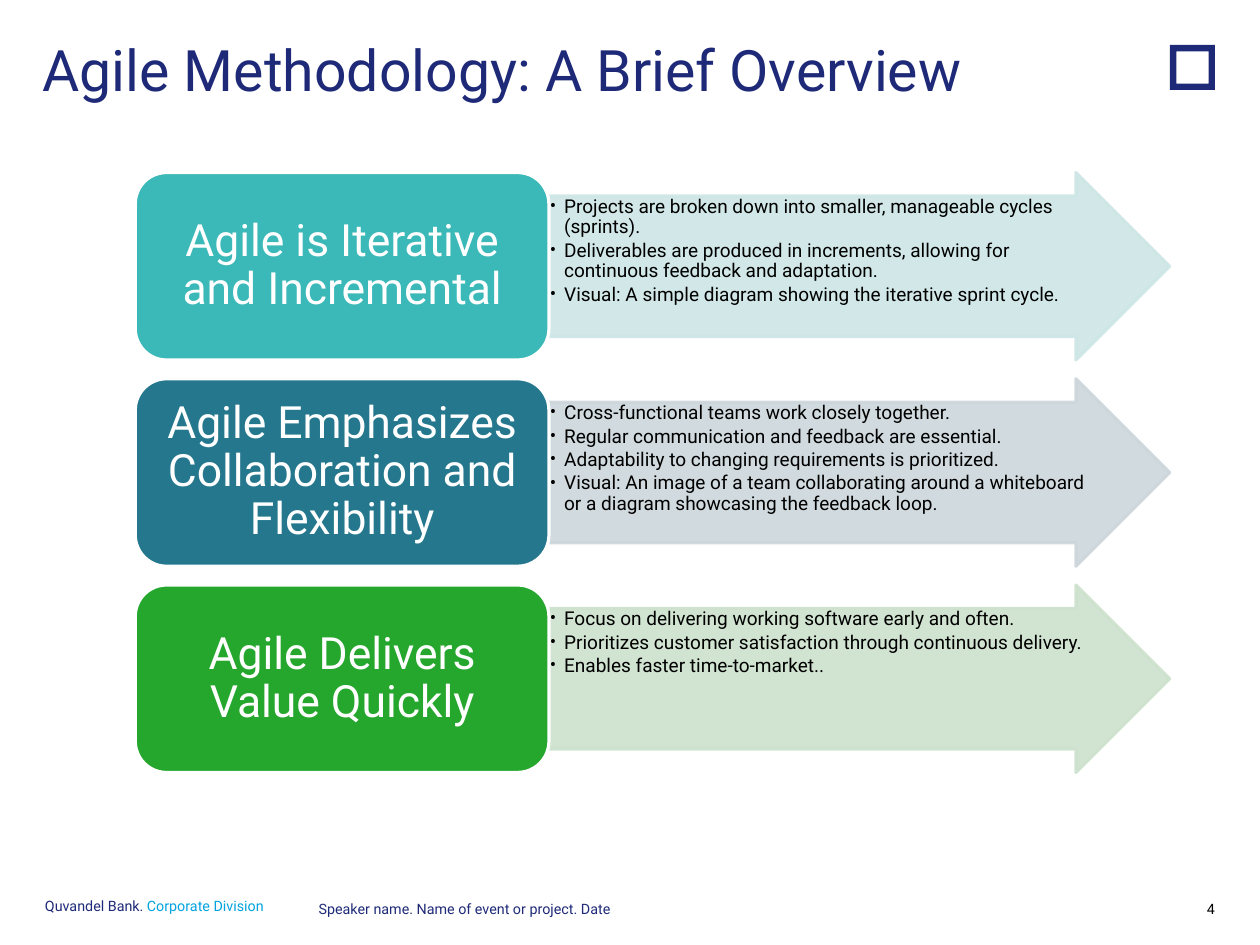
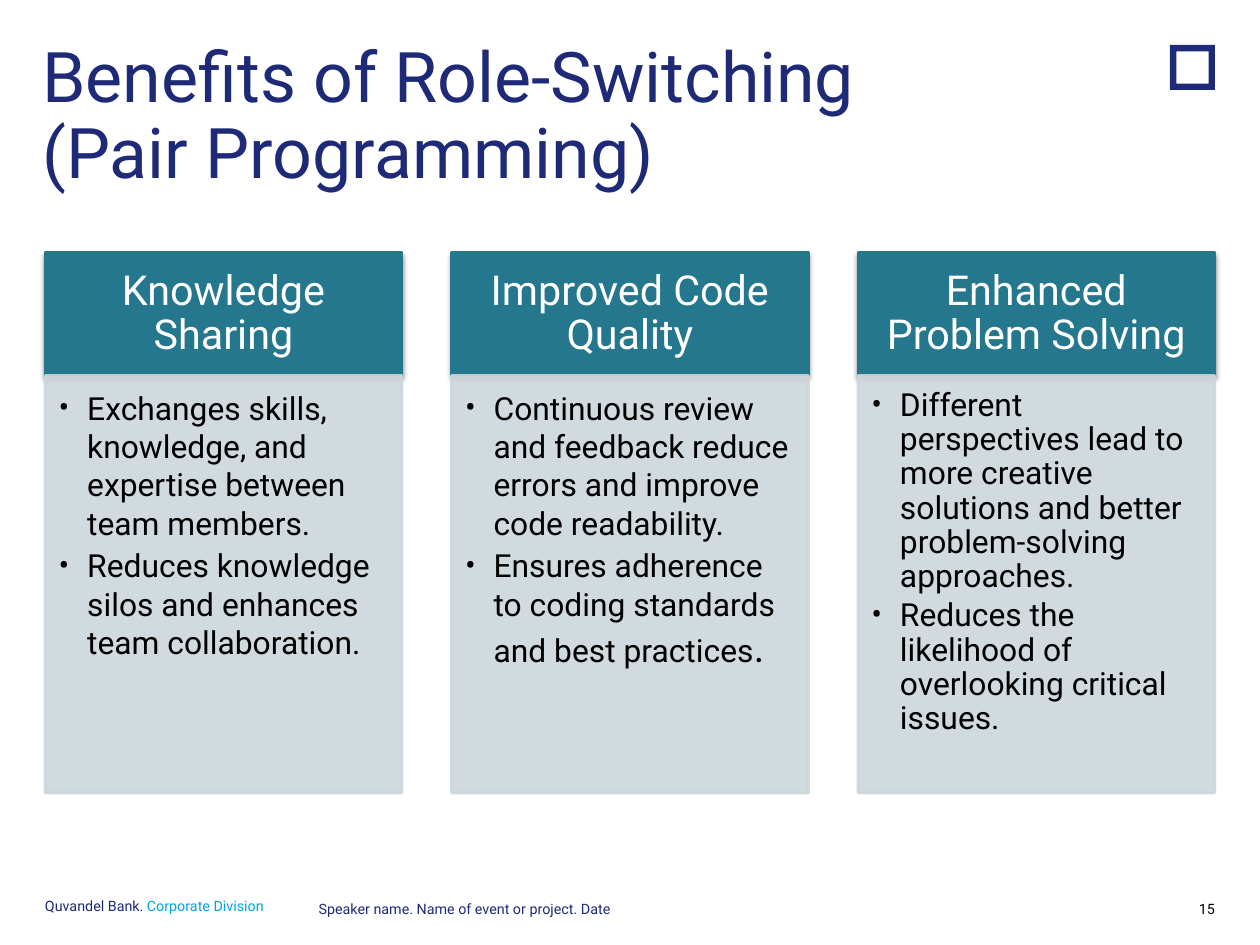
import pptx
import pptx.util
import pptx.dml.color
import pptx.enum.shapes
import pptx.enum.text
import pptx.oxml.ns
from lxml import etree

Pt = pptx.util.Pt
SHAPE = pptx.enum.shapes.MSO_SHAPE
ALIGN = pptx.enum.text.PP_ALIGN
ANCHOR = pptx.enum.text.MSO_ANCHOR
qn = pptx.oxml.ns.qn

# Shared look
FONT = "Roboto"
NAVY, SKY, BLACK, WHITE = "1E2A78", "00A3E0", "000000", "FFFFFF"
TEAL, MIST = "24778D", "CDD6DB"
SLIDE_W, SLIDE_H = 793.7, 595.28
MARGIN = 28.35
OUTLINE = 2
OWNER_TOP, FOOTER_TOP, FOOTER_H, FOOTER_SIZE = 567, 569, 14.2, 9
BADGE = 28.35

# Content
OWNER = [("Quvandel Bank. ", FOOTER_SIZE, NAVY), ("Corporate Division", FOOTER_SIZE, SKY)]
EVENT = "Speaker name. Name of event or project. Date"

OVERVIEW = {
    "title": ["Agile Methodology: A Brief Overview"], "title_size": 36, "page": 4,
    "principles": [
        ("Agile is Iterative and Incremental", "3BB8B8", "CEE6E6", [
            "Projects are broken down into smaller, manageable cycles (sprints).",
            "Deliverables are produced in increments, allowing for continuous feedback and adaptation.",
            "Visual: A simple diagram showing the iterative sprint cycle."]),
        ("Agile Emphasizes Collaboration and Flexibility", TEAL, MIST, [
            "Cross-functional teams work closely together.",
            "Regular communication and feedback are essential.",
            "Adaptability to changing requirements is prioritized.",
            "Visual: An image of a team collaborating around a whiteboard "
            "or a diagram showcasing the feedback loop."]),
        ("Agile Delivers Value Quickly", "25A62D", "CDE1CD", [
            "Focus on delivering working software early and often.",
            "Prioritizes customer satisfaction through continuous delivery.",
            "Enables faster time-to-market.."]),
    ],
}

# Each benefit: heading, line spacing, points; a point is a list of (text, size)
BENEFITS = {
    "title": ["Benefits of Role-Switching", "(Pair Programming)"], "title_size": 44, "page": 15,
    "benefits": [
        ("Knowledge Sharing", 1.0, [
            [("Exchanges skills, knowledge, and expertise between team members.", 20)],
            [("Reduces knowledge silos and enhances team collaboration.", 20)]]),
        ("Improved Code Quality", 1.0, [
            [("Continuous review and feedback reduce errors and improve code readability.", 20)],
            [("Ensures adherence to coding standards and best practices", 20), (".", 25)]]),
        ("Enhanced Problem Solving", 0.9, [
            [("Different perspectives lead to more creative solutions "
              "and better problem-solving approaches.", 20)],
            [("Reduces the likelihood of overlooking critical issues.", 20)]]),
    ],
}


def color(hex_value):
    return pptx.dml.color.RGBColor.from_string(hex_value)


def add_run(paragraph, text, size, hex_value):
    run = paragraph.add_run()
    run.text = text
    run.font.name = FONT
    run.font.size = Pt(size)
    run.font.color.rgb = color(hex_value)


def prepare_frame(shape, insets=(0, 0, 0, 0), anchor=ANCHOR.TOP):
    frame = shape.text_frame
    frame.word_wrap = True
    frame.vertical_anchor = anchor
    frame.margin_left, frame.margin_top, frame.margin_right, frame.margin_bottom = map(Pt, insets)
    return frame


def add_line_of_text(slide, box, runs, align=ALIGN.LEFT):
    frame = prepare_frame(slide.shapes.add_textbox(*map(Pt, box)))
    paragraph = frame.paragraphs[0]
    paragraph.alignment = align
    paragraph.line_spacing = Pt(FOOTER_SIZE)
    for run in runs:
        add_run(paragraph, *run)


def add_block(slide, kind, box, fill, line=None, opacity=None):
    block = slide.shapes.add_shape(kind, *map(Pt, box))
    block.shadow.inherit = False
    block.fill.solid()
    block.fill.fore_color.rgb = color(fill)
    if line:
        block.line.color.rgb = color(line)
        block.line.width = Pt(OUTLINE)
    else:
        block.line.fill.background()
    if opacity:
        for tint in list(block._element.spPr.iter(qn("a:srgbClr"))):
            etree.SubElement(tint, qn("a:alpha"), val=str(opacity * 1000))
    return block


def add_drop_shadow(block):
    effects = block._element.spPr.find(qn("a:effectLst"))
    shadow = etree.SubElement(effects, qn("a:outerShdw"), blurRad=str(Pt(3.1)),
                              dist=str(Pt(1.6)), dir="5400000", rotWithShape="0")
    tint = etree.SubElement(shadow, qn("a:srgbClr"), val=BLACK)
    etree.SubElement(tint, qn("a:alpha"), val="38000")


def write_heading(block, text, size, insets):
    paragraph = prepare_frame(block, insets, ANCHOR.MIDDLE).paragraphs[0]
    paragraph.alignment = ALIGN.CENTER
    paragraph.line_spacing = 0.9
    add_run(paragraph, text, size, WHITE)


def write_bullets(block, points, insets, indent, line_spacing, gap):
    frame = prepare_frame(block, insets)
    for i, point in enumerate(points):
        paragraph = frame.add_paragraph() if i else frame.paragraphs[0]
        properties = paragraph._p.get_or_add_pPr()
        properties.set("marL", str(Pt(indent)))
        properties.set("indent", str(-Pt(indent)))
        etree.SubElement(properties, qn("a:buFont"), typeface=FONT)
        etree.SubElement(properties, qn("a:buChar"), char="•")
        paragraph.alignment = ALIGN.LEFT
        paragraph.line_spacing = line_spacing
        paragraph.space_after = Pt(gap)
        for text, size in point:
            add_run(paragraph, text, size, BLACK)


def start_slide(deck, content):
    """Add a slide with the shared title, badge and footer."""
    slide = deck.slides.add_slide(deck.slide_layouts[6])
    right = SLIDE_W - MARGIN

    # Footer
    add_line_of_text(slide, (MARGIN, OWNER_TOP, 158, FOOTER_H), OWNER)
    add_line_of_text(slide, (200.7, FOOTER_TOP, 389, FOOTER_H), [(EVENT, FOOTER_SIZE, NAVY)])
    add_line_of_text(slide, (right - BADGE, FOOTER_TOP, BADGE, FOOTER_H),
                     [(str(content["page"]), FOOTER_SIZE, BLACK)], ALIGN.RIGHT)

    # Plain corner badge
    badge = add_block(slide, SHAPE.FRAME, (right - BADGE, MARGIN, BADGE, BADGE), NAVY)
    badge.adjustments[0] = 0.14

    # Title
    lines, size = content["title"], content["title_size"]
    title = slide.shapes.add_textbox(*map(Pt, (26.7, 26.7, 682, len(lines) * size * 1.17)))
    paragraph = prepare_frame(title).paragraphs[0]
    paragraph.line_spacing = 0.9
    for i, line in enumerate(lines):
        if i:
            paragraph.add_line_break()
        add_run(paragraph, line, size, NAVY)
    return slide


def build_overview(deck):
    slide = start_slide(deck, OVERVIEW)
    left, top, label_w, arrow_w, row_h = 85.2, 108.7, 260.6, 391, 118.1
    pitch = row_h * 1.1
    for i, (label, strong, pale, points) in enumerate(OVERVIEW["principles"]):
        y = top + i * pitch
        arrow = add_block(slide, SHAPE.RIGHT_ARROW, (left + label_w, y, arrow_w, row_h),
                          pale, pale, 90)
        arrow.adjustments[0], arrow.adjustments[1] = 0.75, 0.5
        write_bullets(arrow, [[(point, 12)] for point in points],
                      (0.6, 0.6, 0.6, 0.6), 9, 0.9, 1.8)
        tile = add_block(slide, SHAPE.ROUNDED_RECTANGLE, (left, y, label_w, row_h), strong, WHITE)
        write_heading(tile, label, 28, (8.4, 4.2, 8.4, 4.2))


def build_benefits(deck):
    slide = start_slide(deck, BENEFITS)
    top, card_w, head_h, body_h = 159.4, 224.6, 77.2, 262.8
    cards = BENEFITS["benefits"]
    left = MARGIN + 0.2
    pitch = (SLIDE_W - 2 * left - card_w) / (len(cards) - 1)
    for i, (heading, line_spacing, points) in enumerate(cards):
        x = left + i * pitch
        head = add_block(slide, SHAPE.RECTANGLE, (x, top, card_w, head_h), TEAL, TEAL)
        add_drop_shadow(head)
        write_heading(head, heading, 26, (14.4, 8.6, 14.4, 8.6))
        body = add_block(slide, SHAPE.RECTANGLE, (x, top + head_h, card_w, body_h),
                         MIST, MIST, 90)
        write_bullets(body, points, (8.4, 8.4, 11.2, 12.6), 18, line_spacing, 3)


def main():
    deck = pptx.Presentation()
    deck.slide_width, deck.slide_height = Pt(SLIDE_W), Pt(SLIDE_H)
    build_overview(deck)
    build_benefits(deck)
    deck.save("out.pptx")


if __name__ == "__main__":
    main()
